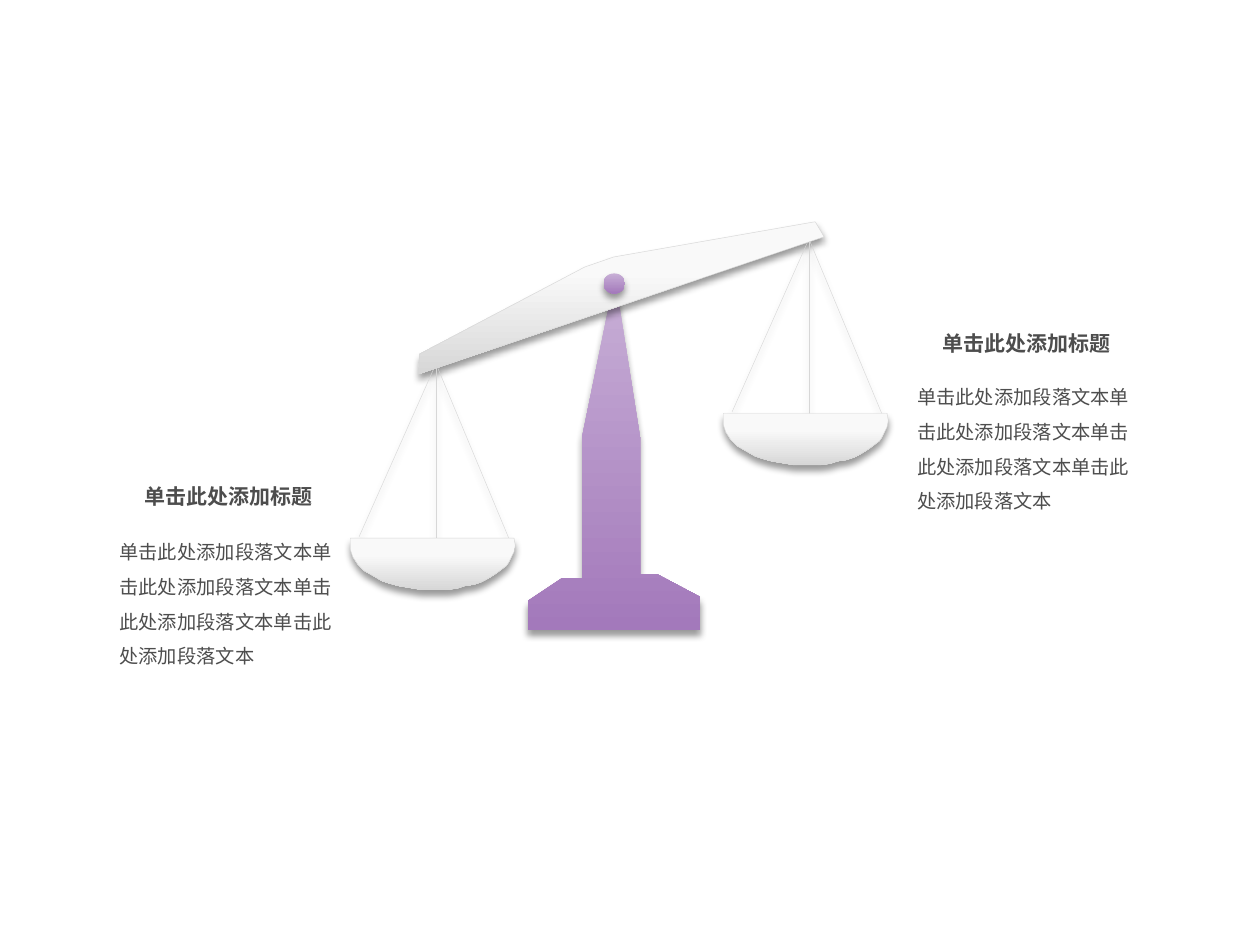
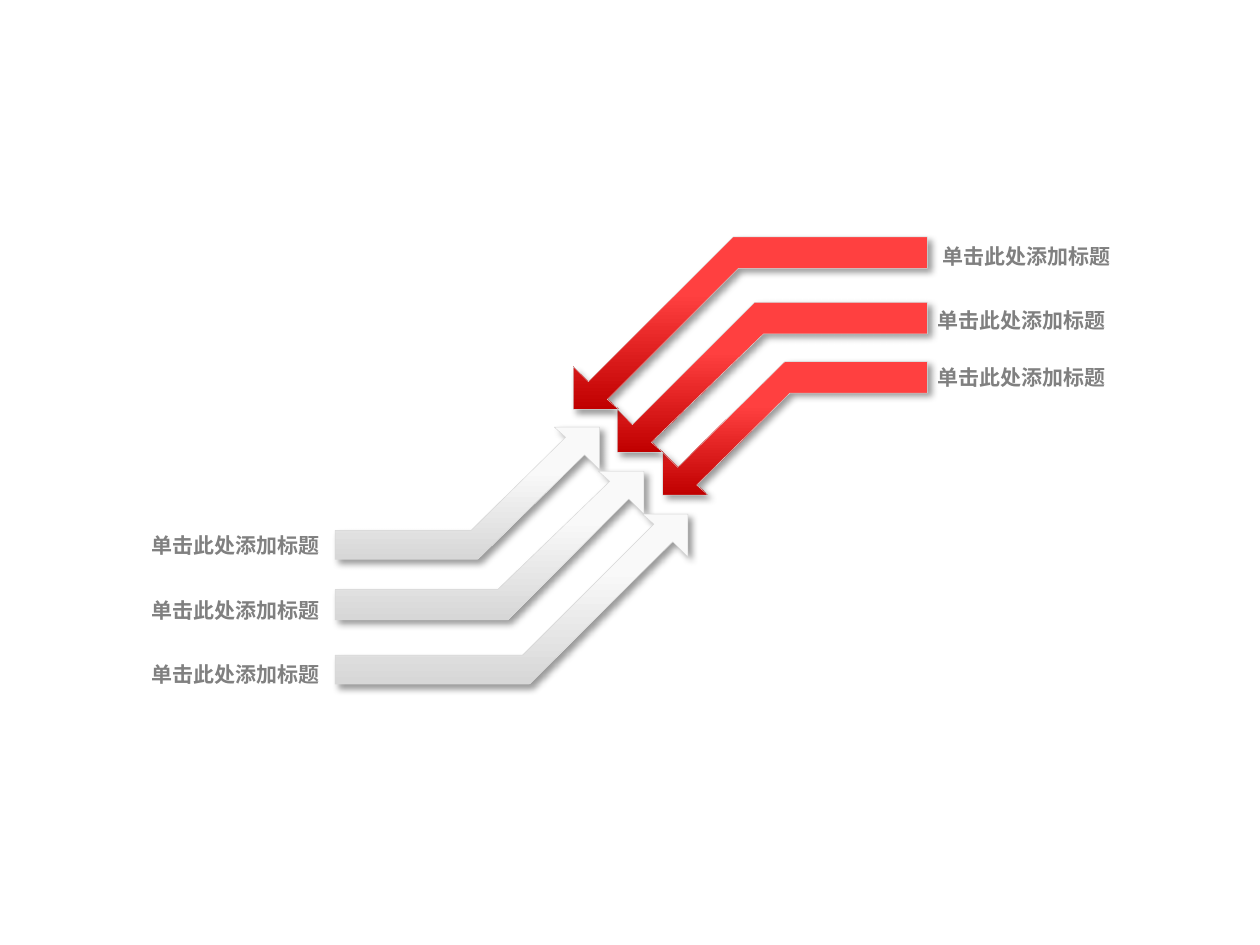
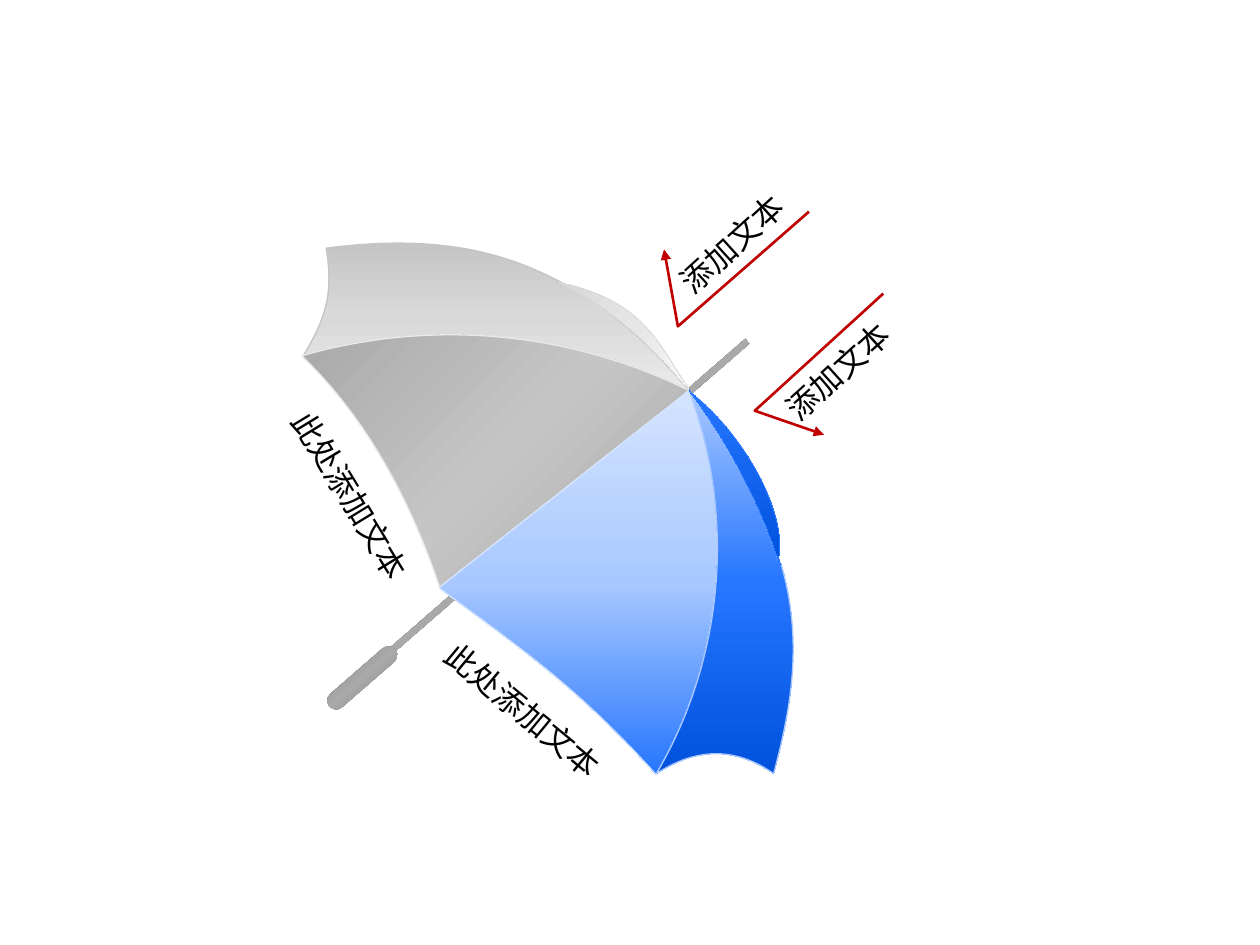
"""Build three diagram slides: a balance, opposing arrows and an umbrella."""
import pptx
import pptx.dml.color
import pptx.enum.shapes
import pptx.enum.text
import pptx.oxml.ns
import pptx.util
from lxml import etree

PX = 9144
SLIDE_W, SLIDE_H = 1000, 750
CURVE_STEPS = 50
HAIRLINE = 0.01
CJK_FONT, LATIN_FONT = "Noto Sans CJK SC", "Calibri"

COLORS = {
    "lilac": "C8AFD6", "purple": "A379BB", "white": "F9F9F9", "mist": "EAEAEA",
    "haze": "E6E6E6", "pearl": "D9D9D9", "silver": "D7D7D7", "grey": "C5C5C5",
    "steel": "A9A9A9", "iron": "7D7D7D", "label": "808080", "ink": "4D4D4D",
    "black": "000000", "coral": "FF4040", "red": "C00000", "ice": "D4E4FF",
    "sky": "A8C8FF", "blue": "2676FF", "navy": "0051DC",
}
GRADIENTS = {
    "purple": (90, [(0, "lilac"), (100, "purple")]),
    "white": (90, [(33, "white"), (100, "silver")]),
    "red": (90, [(33, "coral"), (100, "red")]),
    "metal": (90, [(0, "iron"), (50, "steel"), (100, "iron")]),
    "top grey": (90, [(0, "grey"), (50, "pearl"), (100, "mist")]),
    "front grey": (45, [(0, "steel"), (50, "grey"), (100, "steel")]),
    "back grey": (45, [(0, "silver"), (50, "haze"), (100, "white")]),
    "front blue": (90, [(0, "ice"), (50, "sky"), (100, "blue")]),
    "side blue": (90, [(0, "sky"), (50, "blue"), (100, "navy")]),
    "back blue": (90, [(0, "blue"), (100, "navy")]),
}

TITLE = "单击此处添加标题"
BODY = "单击此处添加段落文本" * 4

POST = [(488, 220), (508, 347), (508, 456), (522, 456), (556, 474), (556, 500),
        (419, 500), (419, 477), (446, 459), (462, 459), (462, 347)]
BEAM = [(332, 297), (654, 188), (647, 176), (487, 204), (464, 212), (333, 281)]
PIVOT = (479, 217, 17, 16)
PAN_ORIGINS = [(574, 328), (278, 427)]
STRINGS = [((69, -136), (127, 3)), ((68, -136), (68, 2)), ((67, -136), (7, -1))]
PAN = [(0, 0), (0, 4), (0, 9), (2, 15), (6, 21), (11, 26), (18, 30), (25, 34),
       (31, 36), (38, 38), (44, 39), (50, 40), (56, 41), (63, 41), (70, 41),
       (77, 41), (85, 40), (91, 38), (98, 37), (104, 35), (108, 33), (113, 30),
       (116, 28), (120, 25), (124, 22), (126, 19), (128, 15), (130, 11),
       (131, 6), (130, 0)]
PAN_TEXTS = [(85, 379, 415), (718, 257, 292)]

HEAD = [(-27, 8), (-36, 0), (0, 0), (0, 34), (-12, 22)]
ARROWS = [
    {"fill": "white", "sign": 1, "tail": 266, "items": [
        ((476, 339), (374, 421), (379, 444)),
        ((511, 374), (395, 468), (403, 492)),
        ((546, 408), (415, 520), (420, 543))]},
    {"fill": "red", "sign": -1, "tail": 736, "items": [
        ((526, 393), (627, 312), (623, 287)),
        ((490, 359), (606, 265), (599, 240)),
        ((455, 325), (586, 213), (582, 188))]},
]
ARROW_LABELS = [(108, 418), (108, 469), (108, 520), (736, 188), (732, 239), (732, 284)]

SHAFT, HANDLE, STICK_ANGLE = (265, 391, 374, 5), (253, 531, 69, 14), 319
PANELS = [
    ("top grey", "grey", 0.75, [
        (547, 310), (521, 280, 494, 251, 449, 226), (410, 205, 357, 184, 259, 197),
        (264, 230, 261, 249, 241, 282), (343, 254, 452, 263, 547, 310)]),
    ("front grey", "mist", 0.75, [
        (547, 310), (452, 263, 343, 253, 241, 282), (241, 282),
        (241, 282, 240, 282, 240, 283), (292, 333, 326, 398, 349, 466), (547, 310)]),
    ("back grey", "pearl", HAIRLINE, [
        (547, 309), (521, 270, 511, 239, 444, 224), (490, 247, 521, 278, 547, 310),
        (547, 310), (547, 309, 547, 309, 547, 309)]),
    ("front blue", "ice", 0.75, [
        (521, 614), (575, 522, 584, 410, 547, 310), (547, 310), (349, 466),
        (349, 467, 349, 467, 349, 467), (412, 514, 456, 543, 521, 615),
        (521, 614, 521, 614, 521, 614)]),
    ("side blue", "sky", 0.75, [
        (620, 448), (618, 445), (602, 397, 578, 351, 547, 310),
        (584, 410, 575, 522, 521, 614), (521, 614), (556, 591, 587, 595, 614, 614),
        (629, 558, 637, 507, 620, 448)]),
    ("back blue", "blue", HAIRLINE, [
        (618, 443), (625, 407, 591, 345, 548, 311), (548, 310, 548, 310, 547, 309),
        (547, 310), (547, 310), (578, 351, 602, 397, 618, 445), (618, 445), (620, 448),
        (619, 447, 619, 445, 618, 443)]),
]
RAIN = [[(642, 168), (538, 259), (527, 198)], [(701, 233), (599, 326), (654, 345)]]
UMBRELLA_TEXTS = [
    ("此处添加文本", (193, 374, 172, 40), 58.6), ("此处添加文本", (330, 544, 172, 40), 39.6),
    ("添加文本", (521, 173, 121, 40), 317.8), ("添加文本", (605, 274, 121, 40), 317.8),
]


def rgb(name):
    return pptx.dml.color.RGBColor.from_string(COLORS[name])


def emu(*values):
    return [round(v * PX) for v in values]


def find(sp, tag):
    return sp.element.spPr.find(".//" + pptx.oxml.ns.qn(tag))


def add_xml(parent, tag, **attrs):
    return etree.SubElement(parent, pptx.oxml.ns.qn(tag), {k: str(v) for k, v in attrs.items()})


def set_gradient(sp, name):
    angle, stops = GRADIENTS[name]
    sp.fill.gradient()
    sp.fill.gradient_angle = 360 - angle
    gs_list = find(sp, "a:gsLst")
    for gs in list(gs_list):
        gs_list.remove(gs)
    for pos, color in stops:
        gs = add_xml(gs_list, "a:gs", pos=pos * 1000)
        add_xml(gs, "a:srgbClr", val=COLORS[color])


def set_line(sp, color, width):
    if color is None:
        sp.line.fill.background()
        return
    sp.line.color.rgb = rgb(color)
    sp.line.width = pptx.util.Pt(width)


def set_shadow(sp, angle=None):
    effects = add_xml(sp.element.spPr, "a:effectLst")
    if angle is not None:
        shadow = add_xml(effects, "a:outerShdw", blurRad=50800, dist=38100,
                         dir=angle * 60000, algn="ctr", rotWithShape=0)
        add_xml(add_xml(shadow, "a:srgbClr", val=COLORS["black"]), "a:alpha", val=40000)


def get_bounds(nodes):
    """Return left, top, right and bottom of corners and cubic curves."""
    points = []
    for node in nodes:
        if len(node) == 6:
            controls = [points[-1], node[:2], node[2:4], node[4:]]
            for i in range(1, CURVE_STEPS):
                t = i / CURVE_STEPS
                weights = ((1 - t) ** 3, 3 * t * (1 - t) ** 2, 3 * t * t * (1 - t), t ** 3)
                points.append([sum(w * c[k] for w, c in zip(weights, controls))
                               for k in (0, 1)])
        points.append(node[-2:])
    xs, ys = zip(*points)
    return min(xs), min(ys), max(xs), max(ys)


def add_outline(s, nodes, fill=None, line=None, width=0.25, shadow=None):
    left, top, right, bottom = emu(*get_bounds(nodes))
    builder = s.shapes.build_freeform(left, top, scale=1)
    builder.add_line_segments([(right, bottom)], close=False)
    sp = builder.convert_to_shape()
    outline = find(sp, "a:path")
    for step in list(outline):
        outline.remove(step)
    for i, node in enumerate(nodes):
        tag = "a:moveTo" if i == 0 else "a:lnTo" if len(node) == 2 else "a:cubicBezTo"
        step = add_xml(outline, tag)
        for x, y in zip(emu(*node[::2]), emu(*node[1::2])):
            add_xml(step, "a:pt", x=x - left, y=y - top)
    if fill:
        add_xml(outline, "a:close")
        set_gradient(sp, fill)
    else:
        sp.fill.background()
    set_line(sp, line, width)
    set_shadow(sp, shadow)
    return sp


def add_preset(s, kind, box, fill, rotation=0, shadow=None):
    sp = s.shapes.add_shape(kind, *emu(*box))
    sp.rotation = rotation
    set_gradient(sp, fill)
    set_line(sp, None, 0)
    set_shadow(sp, shadow)
    return sp


def add_string(s, start, end):
    con = s.shapes.add_connector(pptx.enum.shapes.MSO_CONNECTOR.STRAIGHT, *emu(*start, *end))
    set_line(con, "silver", 0.25)
    set_shadow(con, 90)


def add_text(s, text, box, size, color, font=CJK_FONT, bold=False, center=False,
             spacing=None, wrap=True, rotation=0):
    sp = s.shapes.add_textbox(*emu(*box))
    sp.rotation = rotation
    tf = sp.text_frame
    tf.word_wrap = wrap
    tf.auto_size = pptx.enum.text.MSO_AUTO_SIZE.SHAPE_TO_FIT_TEXT
    p = tf.paragraphs[0]
    p.text = text
    if center:
        p.alignment = pptx.enum.text.PP_ALIGN.CENTER
    if spacing:
        p.line_spacing = spacing
    r = p.runs[0]
    r.font.size = pptx.util.Pt(size)
    r.font.bold = bold
    r.font.color.rgb = rgb(color)
    r.font.name = font
    add_xml(r.font._element, "a:ea", typeface=CJK_FONT)


def add_heading(s, box, color):
    add_text(s, TITLE, box, 12, color, bold=True, center=True)


def build_balance(s):
    add_outline(s, POST, "purple", shadow=90)
    add_outline(s, BEAM, "white", "silver", shadow=90)
    add_preset(s, pptx.enum.shapes.MSO_SHAPE.OVAL, PIVOT, "purple", shadow=90)
    for x, y in PAN_ORIGINS:
        for start, end in STRINGS:
            add_string(s, (x + start[0], y + start[1]), (x + end[0], y + end[1]))
        add_outline(s, [(x + dx, y + dy) for dx, dy in PAN], "white", "silver", shadow=90)
    for x, title_y, body_y in PAN_TEXTS:
        add_heading(s, (x, title_y, 193, 31), "ink")
        add_text(s, BODY, (x, body_y, 193, 122), 11, "ink", spacing=1.5)


def build_arrows(s):
    for group in ARROWS:
        sign, tail = group["sign"], group["tail"]
        for (x, y), inner, outer in group["items"]:
            head = [(x + sign * dx, y + sign * dy) for dx, dy in HEAD]
            nodes = [(tail, inner[1]), inner, *head, outer, (tail, outer[1])]
            add_outline(s, nodes, group["fill"], "silver", shadow=45)
    for x, y in ARROW_LABELS:
        add_heading(s, (x, y, 158, 31), "label")


def build_umbrella(s):
    shapes = pptx.enum.shapes.MSO_SHAPE
    shaft = add_preset(s, shapes.RECTANGLE, SHAFT, "metal", STICK_ANGLE)
    panels = [add_outline(s, nodes, fill, line, width) for fill, line, width, nodes in PANELS]
    handle = add_preset(s, shapes.ROUNDED_RECTANGLE, HANDLE, "metal", STICK_ANGLE)
    handle.adjustments[0] = 0.5
    s.shapes.add_group_shape([shaft, *panels, handle])
    for nodes in RAIN:
        sp = add_outline(s, nodes, line="red", width=1.5)
        add_xml(find(sp, "a:ln"), "a:tailEnd", type="triangle")
    for text, box, angle in UMBRELLA_TEXTS:
        add_text(s, text, box, 18, "black", LATIN_FONT, wrap=False, rotation=angle)


def main():
    prs = pptx.Presentation()
    prs.slide_width, prs.slide_height = emu(SLIDE_W, SLIDE_H)
    for build in (build_balance, build_arrows, build_umbrella):
        build(prs.slides.add_slide(prs.slide_layouts[6]))
    prs.save("out.pptx")


if __name__ == "__main__":
    main()
